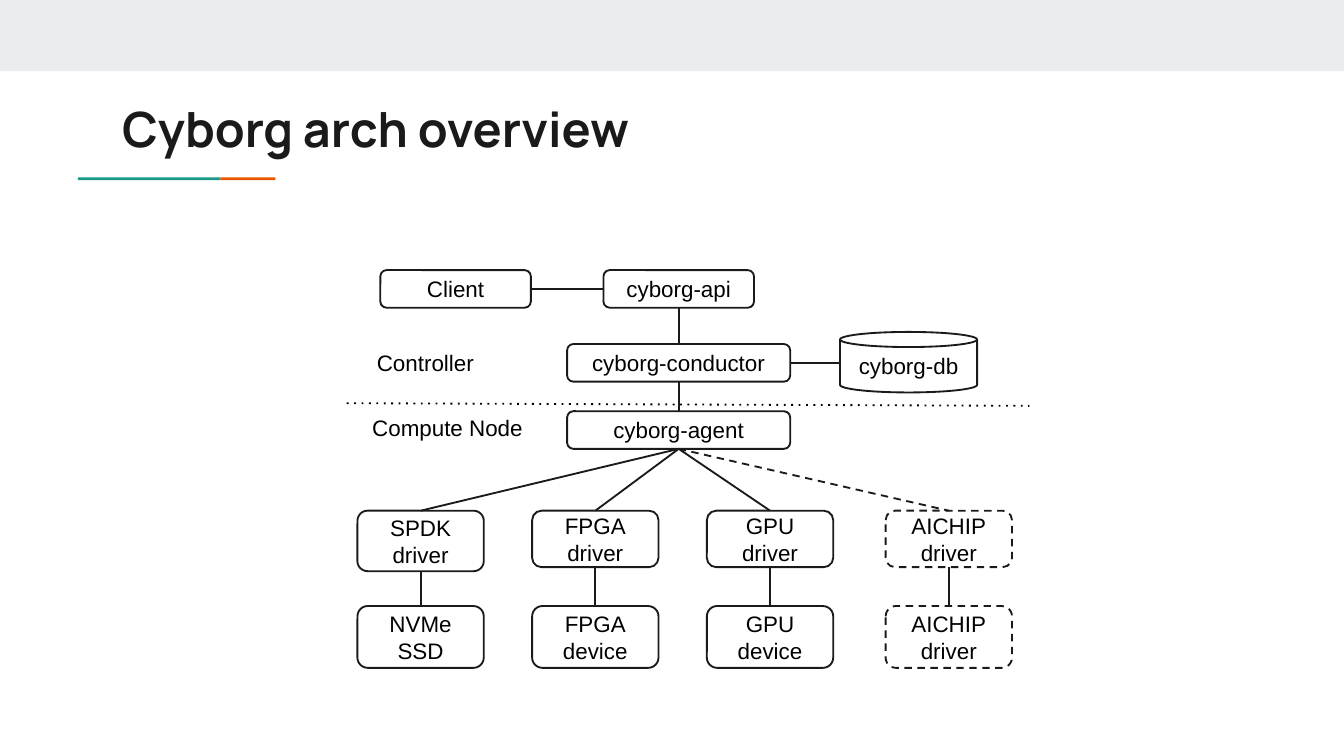
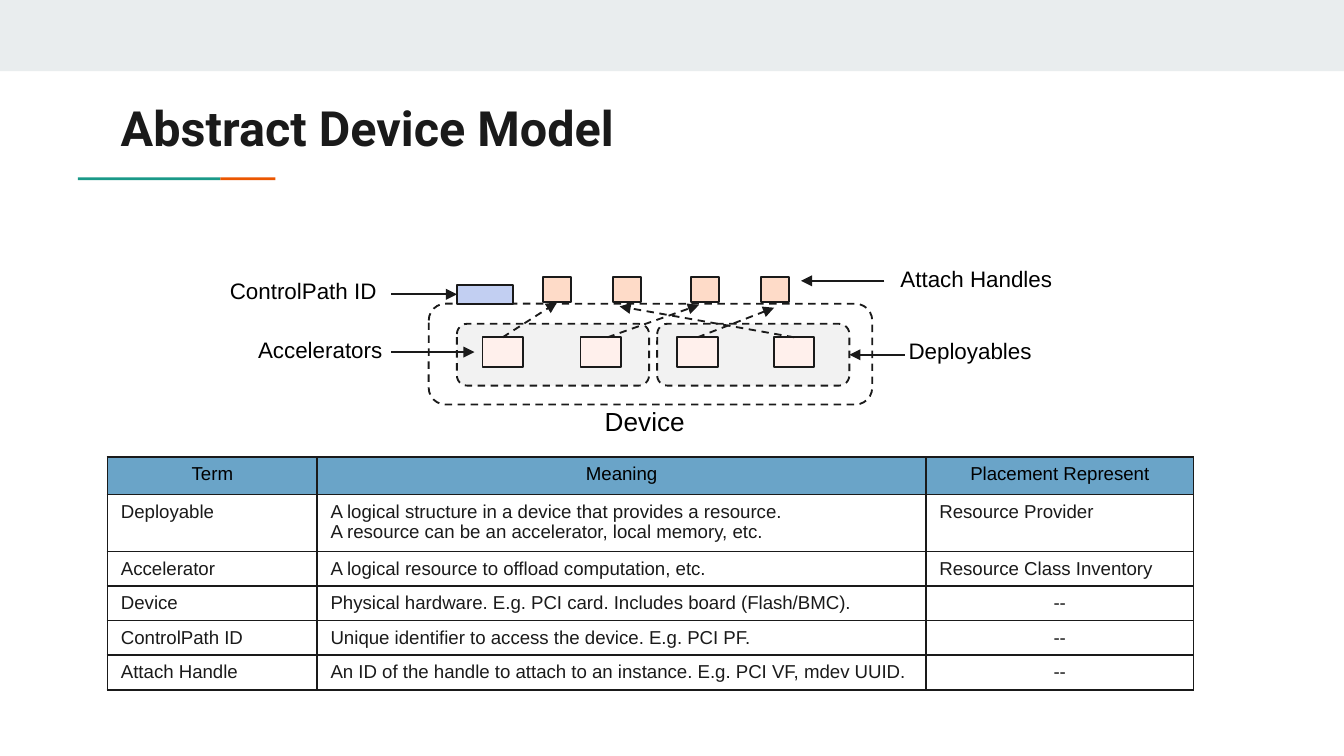
from lxml.etree import SubElement
from pptx import Presentation
from pptx.dml.color import RGBColor
from pptx.enum.shapes import MSO_CONNECTOR as Link, MSO_SHAPE as Form
from pptx.enum.text import MSO_ANCHOR as Anchor, PP_ALIGN as Align
from pptx.oxml.ns import qn
from pptx.util import Inches, Pt

INK = RGBColor(0x1A, 0x1A, 0x1A)
BLACK = RGBColor(0, 0, 0)
WHITE = RGBColor(0xFF, 0xFF, 0xFF)
BAND = RGBColor(0xE9, 0xED, 0xEE)
TEAL = RGBColor(0x1A, 0x99, 0x88)
ORANGE = RGBColor(0xEB, 0x56, 0x00)
GREY = RGBColor(0xF2, 0xF2, 0xF2)
PINK = RGBColor(0xFF, 0xF0, 0xEC)
PEACH = RGBColor(0xFE, 0xDB, 0xC8)
BLUE = RGBColor(0xC2, 0xCF, 0xF2)
HEAD = RGBColor(0x6A, 0xA4, 0xC8)
TOP, LEFT, BOTTOM, RIGHT = range(4)

# Slide 1: services, drivers and the wires between them
PARTS = {  # name: (text, place, form)
    "client": ("Client", (2.83, 2.01, 1.12, 0.28), Form.ROUNDED_RECTANGLE),
    "api": ("cyborg-api", (4.49, 2.01, 1.12, 0.28), Form.ROUNDED_RECTANGLE),
    "lead": ("cyborg-conductor", (4.22, 2.56, 1.66, 0.28), Form.ROUNDED_RECTANGLE),
    "agent": ("cyborg-agent", (4.22, 3.06, 1.66, 0.28), Form.ROUNDED_RECTANGLE),
    "db": ("cyborg-db", (6.25, 2.47, 1.02, 0.45), Form.CAN),
}
DRIVERS = [  # left, driver, driver height, device, dash
    (2.66, "SPDK driver", 0.45, "NVMe\nSSD", None),
    (3.96, "FPGA\ndriver", 0.42, "FPGA\ndevice", None),
    (5.26, "GPU\ndriver", 0.42, "GPU\ndevice", None),
    (6.59, "AICHIP\ndriver", 0.42, "AICHIP\ndriver", "dash"),
]
ZONES = [("Controller", (2.52, 2.56, 1.29, 0.27)),
         ("Compute Node", (2.52, 3.07, 1.62, 0.22))]
WIRES = [
    (("client", RIGHT), ("api", LEFT)),
    (("api", BOTTOM), ("lead", TOP)),
    (("lead", BOTTOM), ("agent", TOP)),
    (("lead", RIGHT), (6.25, 2.7)),
]

# Slide 2: device model and its terms
UNITS = [3.59, 4.32, 5.04, 5.76]
HANDLES = [4.04, 4.56, 5.14, 5.66]
NOTES = [
    ("Device", (4.5, 3.02, 0.64, 0.27), 14),
    ("Accelerators", (1.92, 2.5, 0.99, 0.23), 12),
    ("Attach Handles", (6.7, 1.97, 1.21, 0.23), 12),
    ("ControlPath ID", (1.71, 2.06, 1.51, 0.23), 12),
    ("Deployables", (6.76, 2.51, 0.98, 0.23), 12),
]
ARROWS = [  # from, to, dash
    ((2.91, 2.62), (3.53, 2.62), None),
    ((6.58, 2.09), (5.96, 2.09), None),
    ((2.91, 2.19), ("path id", LEFT), None),
    ((6.73, 2.64), ("pool 2", RIGHT), None),
    (("unit 1", TOP), ("handle 1", BOTTOM), "dash"),
    ((4.52, 2.51), (5.2, 2.27), "dash"),
    (("unit 3", TOP), (5.76, 2.29), "dash"),
    (("unit 4", TOP), (4.61, 2.28), "dash"),
]
WIDTHS = [1.56, 4.53, 1.99]
HEIGHTS = [0.28, 0.41] + [0.25] * 4
TERMS = [
    ("Term", "Meaning", "Placement Represent"),
    ("Deployable", "A logical structure in a device that provides a resource.\n"
     "A resource can be an accelerator, local memory, etc.", "Resource Provider"),
    ("Accelerator", "A logical resource to offload computation, etc.",
     "Resource Class Inventory"),
    ("Device", "Physical hardware. E.g. PCI card. Includes board (Flash/BMC).", "--"),
    ("ControlPath ID", "Unique identifier to access the device. E.g. PCI PF.", "--"),
    ("Attach Handle",
     "An ID of the handle to attach to an instance. E.g. PCI VF, mdev UUID.", "--"),
]


def place(box):
    return [Inches(n) for n in box]


def write(frame, words, align=Align.LEFT, color=BLACK, **form):
    frame.text = words
    look = {"name": "Arial", "size": Pt(12), "bold": False, **form}
    for para in frame.paragraphs:
        para.alignment = align
        for run in para.runs:
            for key, val in look.items():
                setattr(run.font, key, val)
            run.font.color.rgb = color


def label(slide, words, box, inset, anchor=Anchor.TOP, **form):
    frame = slide.shapes.add_textbox(*place(box)).text_frame
    gaps = dict(zip(("left", "top", "right", "bottom"), place(inset)))
    for side, gap in gaps.items():
        setattr(frame, "margin_" + side, gap)
    frame.word_wrap = True
    frame.vertical_anchor = anchor
    write(frame, words, **form)


def stroke(item, dash=None, arrow=False, color=INK):
    item.line.color.rgb = color
    item.line.width = Pt(1)
    line = item._element.spPr.find(qn("a:ln"))
    if dash:
        SubElement(line, qn("a:prstDash"), val=dash)
    if arrow:
        SubElement(line, qn("a:tailEnd"), type="triangle")


def block(slide, box, form=Form.RECTANGLE, fill=None, edge=True, dash=None, words=""):
    item = slide.shapes.add_shape(form, *place(box))
    item.shadow.inherit = False
    if fill is None:
        item.fill.background()
    else:
        item.fill.solid()
        item.fill.fore_color.rgb = fill
    if edge:
        stroke(item, dash)
    else:
        item.line.fill.background()
    if words:
        item.text_frame.word_wrap = True
        item.text_frame.vertical_anchor = Anchor.MIDDLE
        write(item.text_frame, words, Align.CENTER)
    return item


def wire(slide, parts, start, end, dash=None, arrow=False, color=INK):
    """An end is a point, or a part's name with the side to join."""
    ends = [(0, 0) if isinstance(e[0], str) else e for e in (start, end)]
    item = slide.shapes.add_connector(Link.STRAIGHT, *place(ends[0] + ends[1]))
    for e, join in ((start, item.begin_connect), (end, item.end_connect)):
        if isinstance(e[0], str):
            join(parts[e[0]], e[1])
    stroke(item, dash, arrow, color)
    SubElement(item._element.spPr, qn("a:effectLst"))


def page(deck, title, font, left, top):
    slide = deck.slides.add_slide(deck.slide_layouts[6])
    for box, fill in (((0, 0, 10, 0.53), BAND),
                      ((0.58, 1.32, 1.06, 0.02), TEAL),
                      ((1.64, 1.32, 0.41, 0.02), ORANGE)):
        block(slide, box, fill=fill, edge=False)
    label(slide, title, (left, top, 8.41, 0.59), [0.1] * 4,
          name=font, size=Pt(26), bold=True, color=INK)
    return slide


def draw_arch(deck):
    slide = page(deck, "Cyborg arch overview", "Manrope", 0.81, 0.64)
    parts = {name: block(slide, box, form, words=words)
             for name, (words, box, form) in PARTS.items()}
    wires = [(*ends, None) for ends in WIRES]

    # Driver columns, each with its device below
    for i, (left, driver, tall, device, dash) in enumerate(DRIVERS):
        top, low = f"driver {i}", f"device {i}"
        for name, words, y, high in ((top, driver, 3.8, tall), (low, device, 4.51, 0.46)):
            parts[name] = block(slide, (left, y, 0.94, high), Form.ROUNDED_RECTANGLE,
                                dash=dash, words=words)
        wires += [(("agent", BOTTOM), (top, TOP), dash),
                  ((top, BOTTOM), (low, TOP), None)]
    for start, end, dash in wires:
        wire(slide, parts, start, end, dash)

    # Border between controller and compute node
    wire(slide, parts, (2.58, 3), (7.66, 3.02), "dot", color=BLACK)
    for words, box in ZONES:
        label(slide, words, box, (0.1, 0.05, 0.1, 0.05), Anchor.MIDDLE, align=Align.CENTER)


def draw_model(deck):
    slide = page(deck, "Abstract Device Model", "Roboto", 0.8, 0.63)
    block(slide, (3.19, 2.26, 3.3, 0.75), Form.ROUNDED_RECTANGLE, WHITE, dash="dash")
    parts = {}
    for i, left in enumerate((3.4, 4.89), 1):
        parts[f"pool {i}"] = block(slide, (left, 2.41, 1.43, 0.46),
                                   Form.ROUNDED_RECTANGLE, GREY, dash="dash")
    for i, (unit, handle) in enumerate(zip(UNITS, HANDLES), 1):
        parts[f"unit {i}"] = block(slide, (unit, 2.51, 0.3, 0.22), fill=PINK)
        parts[f"handle {i}"] = block(slide, (handle, 2.06, 0.21, 0.19), fill=PEACH)
    parts["path id"] = block(slide, (3.4, 2.12, 0.42, 0.14), fill=BLUE)
    for words, box, size in NOTES:
        label(slide, words, box, [0] * 4, size=Pt(size))
    for start, end, dash in ARROWS:
        wire(slide, parts, start, end, dash, arrow=True)
    draw_terms(slide)


def draw_terms(slide):
    box = (0.8, 3.4, sum(WIDTHS), sum(HEIGHTS))
    table = slide.shapes.add_table(len(TERMS), len(WIDTHS), *place(box)).table
    table.first_row = table.horz_banding = False
    for col, wide in zip(table.columns, WIDTHS):
        col.width = Inches(wide)
    for r, (row, high) in enumerate(zip(TERMS, HEIGHTS)):
        table.rows[r].height = Inches(high)
        for c, words in enumerate(row):
            cell = table.cell(r, c)
            mid = r == 0 or words == "--"
            write(cell.text_frame, words, Align.CENTER if mid else Align.LEFT,
                  INK if r else BLACK, size=Pt(10))
            cell.margin_bottom = Inches(0.04)
            frame_cell(cell)
            if r:
                cell.fill.background()
            else:
                cell.fill.solid()
                cell.fill.fore_color.rgb = HEAD


def frame_cell(cell):
    props = cell._tc.get_or_add_tcPr()
    for side in "LRTB":
        line = SubElement(props, qn("a:ln" + side), w=str(Pt(1)))
        fill = SubElement(line, qn("a:solidFill"))
        SubElement(fill, qn("a:srgbClr"), val=str(INK))


def main():
    deck = Presentation()
    deck.slide_width = Inches(10)
    deck.slide_height = deck.slide_width * 9 // 16
    draw_arch(deck)
    draw_model(deck)
    deck.save("out.pptx")


if __name__ == "__main__":
    main()
